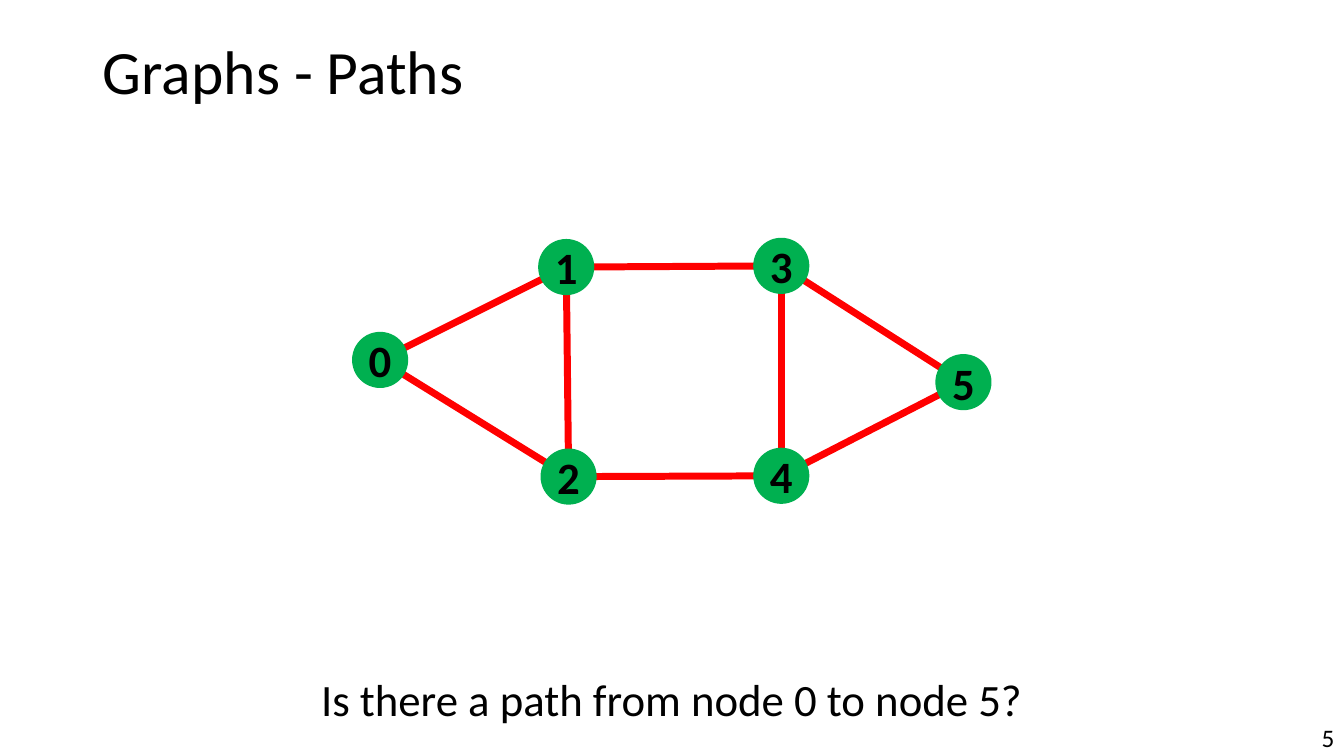
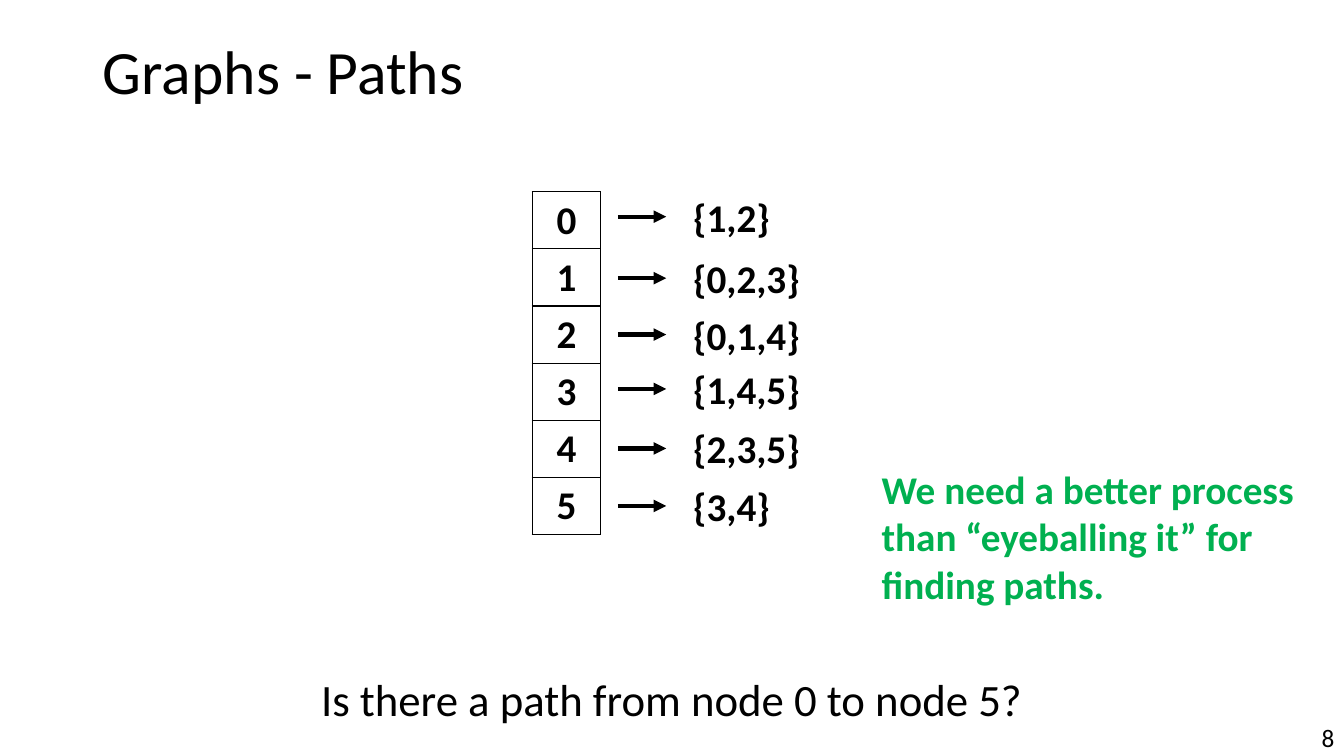
from dataclasses import dataclass
from lxml.etree import SubElement as Sub
from pptx import Presentation
from pptx.dml.color import RGBColor as RGB
from pptx.enum.shapes import MSO_CONNECTOR as Link, MSO_SHAPE as Form
from pptx.enum.text import MSO_ANCHOR as Anchor, PP_ALIGN as Align
from pptx.oxml import parse_xml
from pptx.oxml.ns import nsdecls, qn
from pptx.util import Cm, Pt

TITLE = "Graphs - Paths"
ASK = "Is there a path from node 0 to node 5?"
NOTE = "We need a better process than “eyeballing it” for finding paths."
NODES = [(9.58, 9.07), (14.27, 6.73), (14.33, 12.01),
         (19.69, 6.7), (19.69, 11.99), (24.28, 9.63)]
EDGES = [(0, 1), (0, 2), (1, 2), (1, 3), (2, 4), (3, 4), (3, 5), (4, 5)]
LISTS = [("{1,2}", 5.46), ("{0,2,3}", 7.01), ("{0,1,4}", 8.43),
         ("{1,4,5}", 9.8), ("{2,3,5}", 11.3), ("{3,4}", 12.75)]


@dataclass(frozen=True)
class Theme:
    face: str = "Calibri"
    ink: RGB = RGB(0, 0, 0)
    green: RGB = RGB(0, 176, 80)
    red: RGB = RGB(255, 0, 0)
    head: int = 44
    big: int = 32
    mid: int = 28
    small: int = 18


look = Theme()
BARE = {"margin_left": 0, "margin_right": 0, "margin_top": 0, "margin_bottom": 0}


def assign(item, vals):
    for key, val in vals.items():
        setattr(item, key, val)


def write(frame, text, size, color=look.ink, bold=False, align=Align.LEFT, **vals):
    assign(frame, {"word_wrap": True, **vals})
    para = frame.paragraphs[0]
    para.text = text
    para.alignment = align
    font = para.runs[0].font
    assign(font, {"name": look.face, "size": Pt(size), "bold": bold})
    font.color.rgb = color
    return para


def label(slide, box, text, size, **vals):
    shape = slide.shapes.add_textbox(*map(Cm, box))
    write(shape.text_frame, text, size, **vals)


def join(slide, start, end, color, width, arrow=False):
    line = slide.shapes.add_connector(Link.STRAIGHT, *map(Cm, (*start, *end)))
    line.line.color.rgb = color
    line.line.width = Pt(width)
    if arrow:
        Sub(line.line._get_or_add_ln(), qn("a:tailEnd"), type="triangle")
    Sub(line._element.spPr, qn("a:effectLst"))


def start(deck, page):
    slide = deck.slides.add_slide(deck.slide_layouts[5])
    title = slide.shapes.title
    spot = dict(zip(("left", "top", "width", "height"),
                    map(Cm, (2.34, 0.05, 29.21, 3.68))))
    assign(title, spot)
    para = write(title.text_frame, TITLE, look.head, vertical_anchor=Anchor.MIDDLE)
    para.line_spacing = 0.9
    label(slide, (0, 16.81, 33.87, 1.63), ASK, look.big, align=Align.CENTER)
    label(slide, (25.83, 18.19, 7.8, 0.76), page, look.small, align=Align.RIGHT, **BARE)
    return slide


def graph(slide):
    size = 1.38
    for a, b in EDGES:
        join(slide, NODES[a], NODES[b], look.red, 5)
    for num, (x, y) in enumerate(NODES):
        box = (x - size / 2, y - size / 2, size, size)
        node = slide.shapes.add_shape(Form.OVAL, *map(Cm, box))
        node.shadow.inherit = False
        node.fill.solid()
        node.fill.fore_color.rgb = look.green
        node.line.color.rgb = look.green
        node.line.width = Pt(1)
        write(node.text_frame, str(num), look.big, bold=True, align=Align.CENTER,
              vertical_anchor=Anchor.MIDDLE, **BARE)


def border(cell):
    props = cell._tc.get_or_add_tcPr()
    for pos, side in enumerate("LRTB"):
        props.insert(pos, parse_xml(
            f'<a:ln{side} {nsdecls("a")} w="12700"><a:solidFill>'
            f'<a:srgbClr val="{look.ink}"/></a:solidFill></a:ln{side}>'))


def table(slide):
    count, high = len(LISTS), 1.44
    grid = slide.shapes.add_table(
        count, 1, *map(Cm, (13.41, 4.83, 1.73, high * count))).table
    assign(grid, {"first_row": False, "horz_banding": False})
    for num, (text, y) in enumerate(LISTS):
        grid.rows[num].height = Cm(high)
        cell = grid.cell(num, 0)
        cell.fill.background()
        border(cell)
        write(cell.text_frame, str(num), look.mid, bold=True, align=Align.CENTER)
        join(slide, (15.57, y), (16.79, y), look.ink, 3, arrow=True)
        label(slide, (17.22, y - 0.72, 3.68, 1.45), text, look.mid, bold=True)
    label(slide, (21.97, 11.61, 11.3, 3.84), NOTE, look.mid,
          color=look.green, bold=True)


def main():
    deck = Presentation()
    assign(deck, {"slide_width": Cm(33.87), "slide_height": Cm(19.05)})
    for page, draw in (("5", graph), ("8", table)):
        draw(start(deck, page))
    deck.save("out.pptx")


if __name__ == "__main__":
    main()
